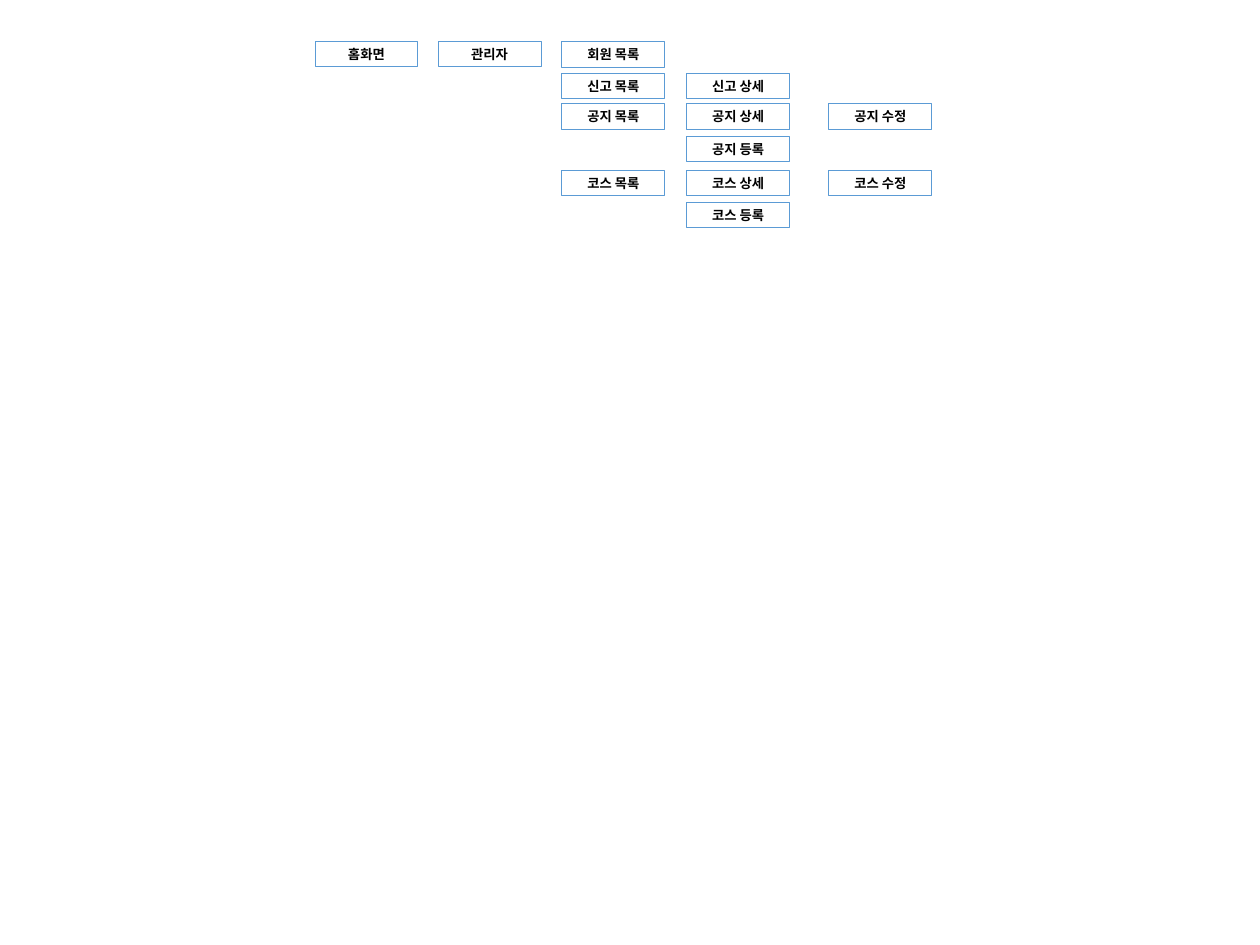
from pptx import Presentation
from pptx.dml.color import RGBColor
from pptx.enum.shapes import MSO_SHAPE
from pptx.enum.text import MSO_ANCHOR, MSO_AUTO_SIZE, PP_ALIGN
from pptx.util import Inches, Pt

RECT = MSO_SHAPE.RECTANGLE
MIDDLE = MSO_ANCHOR.MIDDLE
GROW = MSO_AUTO_SIZE.SHAPE_TO_FIT_TEXT
CENTER = PP_ALIGN.CENTER

COLORS = {"line": "5B9BD5", "text": "000000"}
FONT = {"name": "Calibri", "size": Pt(11), "bold": True}
FRAME = {"word_wrap": True, "auto_size": GROW, "vertical_anchor": MIDDLE}

# Grid in inches: left edge of each menu level, top edge of each row
COLS = [3.61, 5.02, 6.44, 7.87, 9.5]
ROWS = [0.47, 0.48, 0.84, 1.19, 1.56, 1.95, 2.32]
BOX_W, BOX_H = 1.18, 0.29

# Screens of each row, with the column where the row starts
MENU = [
    (0, ["홈화면", "관리자"]),
    (2, ["회원 목록"]),
    (2, ["신고 목록", "신고 상세"]),
    (2, ["공지 목록", "공지 상세", "공지 수정"]),
    (3, ["공지 등록"]),
    (2, ["코스 목록", "코스 상세", "코스 수정"]),
    (3, ["코스 등록"]),
]


def style(target, values):
    for key, value in values.items():
        setattr(target, key, value)


def add_box(slide, col, row, text):
    box = slide.shapes.add_shape(
        RECT, Inches(COLS[col]), Inches(ROWS[row]), Inches(BOX_W), Inches(BOX_H))
    box.shadow.inherit = False
    box.fill.background()
    box.line.color.rgb = RGBColor.from_string(COLORS["line"])
    box.line.width = Pt(0.75)
    # Label
    frame = box.text_frame
    style(frame, FRAME)
    para = frame.paragraphs[0]
    para.alignment = CENTER
    run = para.add_run()
    run.text = text
    style(run.font, FONT)
    run.font.color.rgb = RGBColor.from_string(COLORS["text"])


def main():
    deck = Presentation()
    deck.slide_width, deck.slide_height = Inches(14.44), Inches(10.83)
    slide = deck.slides.add_slide(deck.slide_layouts[6])
    # Site map
    for row, (start, names) in enumerate(MENU):
        for col, name in enumerate(names, start):
            add_box(slide, col, row, name)
    deck.save("out.pptx")


if __name__ == "__main__":
    main()
